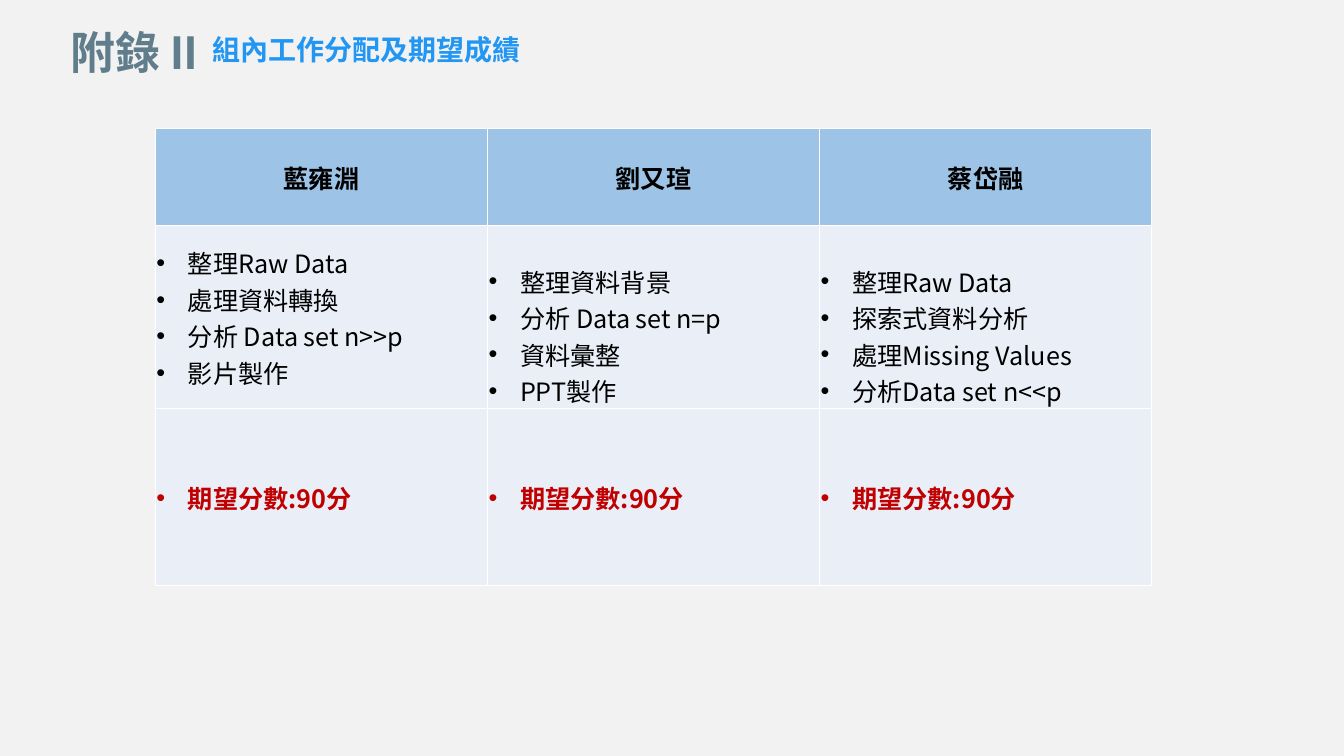
from pptx import Presentation
from pptx.dml.color import RGBColor
from pptx.enum.text import MSO_ANCHOR, MSO_AUTO_SIZE, PP_ALIGN
from pptx.oxml import parse_xml
from pptx.oxml.ns import nsdecls
from pptx.util import Pt


def color(code):
    return RGBColor.from_string(code)


class Deck:
    sans = "Noto Sans CJK SC"
    black = "000000"
    red = "C00000"
    slate = "607D8B"
    blue = "2196F3"
    head = "9DC3E6"
    pale = "EAEFF7"
    rule = "FFFFFF"

    def __init__(self):
        self.file = Presentation()
        self.file.slide_width = Pt(960)
        self.file.slide_height = Pt(540)
        self.slide = self.file.slides.add_slide(self.file.slide_layouts[6])
        back = self.slide.background.fill
        back.solid()
        back.fore_color.rgb = color("F2F2F2")

    def run(self, para, text, size, ink, bold=False, face=sans):
        run = para.add_run()
        run.text = text
        font = run.font
        font.size = Pt(size)
        font.bold = bold
        font.name = face
        font.color.rgb = color(ink)
        run._r.get_or_add_rPr().append(
            parse_xml(f'<a:ea {nsdecls("a")} typeface="{self.sans}"/>'))

    def label(self, left, top, width, height, runs, anchor=MSO_ANCHOR.TOP):
        box = self.slide.shapes.add_textbox(
            Pt(left), Pt(top), Pt(width), Pt(height))
        frame = box.text_frame
        frame.word_wrap = True
        frame.auto_size = MSO_AUTO_SIZE.SHAPE_TO_FIT_TEXT
        frame.vertical_anchor = anchor
        para = frame.paragraphs[0]
        para.alignment = PP_ALIGN.CENTER
        for text, size, ink, face in runs:
            self.run(para, text, size, ink, True, face)

    def bullet(self, para):
        props = para._p.get_or_add_pPr()
        props.set("marL", str(Pt(22.5)))
        props.set("indent", str(-Pt(22.5)))
        for tag in ('buFont {} typeface="Arial"', 'buChar {} char="•"'):
            props.append(parse_xml(f'<a:{tag.format(nsdecls("a"))}/>'))

    def cell(self, cell, lines, fill, ink, bold, listed=True,
             anchor=MSO_ANCHOR.MIDDLE):
        props = cell._tc.get_or_add_tcPr()
        for side in "LRTB":
            props.append(parse_xml(
                f'<a:ln{side} {nsdecls("a")} w="{Pt(1)}"><a:solidFill>'
                f'<a:srgbClr val="{self.rule}"/></a:solidFill></a:ln{side}>'))
        cell.fill.solid()
        cell.fill.fore_color.rgb = color(fill)
        cell.margin_left = cell.margin_right = cell.margin_top = Pt(0.75)
        cell.margin_bottom = Pt(0)
        cell.vertical_anchor = anchor
        frame = cell.text_frame
        for i, line in enumerate(lines):
            para = frame.add_paragraph() if i else frame.paragraphs[0]
            if listed:
                self.bullet(para)
            else:
                para.alignment = PP_ALIGN.CENTER
            self.run(para, line, 18, ink, bold)

    def table(self, left, top, width, rows, team):
        grid = self.slide.shapes.add_table(
            len(rows), len(team), Pt(left), Pt(top),
            Pt(width * len(team)), Pt(sum(rows))).table
        for row, height in zip(grid.rows, rows):
            row.height = Pt(height)
        for col, (name, tasks, anchor) in enumerate(team):
            grid.columns[col].width = Pt(width)
            self.cell(grid.cell(0, col), [name], self.head, self.black,
                      True, False)
            self.cell(grid.cell(1, col), tasks, self.pale, self.black,
                      False, anchor=anchor)
            self.cell(grid.cell(2, col), ["期望分數:90分"], self.pale,
                      self.red, True)


def main():
    deck = Deck()
    deck.label(-16.5, 10, 232.5, 51,
               [("附錄 ", 32, deck.slate, "Calibri"),
                ("II ", 36, deck.slate, "Calibri")], MSO_ANCHOR.MIDDLE)
    deck.label(129, 19.5, 265.5, 31.5,
               [("組內工作分配及期望成績", 20, deck.blue, deck.sans)])
    team = [
        ("藍雍淵", ["整理Raw Data", "處理資料轉換", "分析 Data set n>>p",
                 "影片製作"], MSO_ANCHOR.MIDDLE),
        ("劉又瑄", ["整理資料背景", "分析 Data set n=p", "資料彙整",
                 "PPT製作"], MSO_ANCHOR.BOTTOM),
        ("蔡岱融", ["整理Raw Data", "探索式資料分析", "處理Missing Values",
                 "分析Data set n<<p"], MSO_ANCHOR.BOTTOM),
    ]
    deck.table(111, 91.5, 237.25, [69.5, 131, 126.5], team)
    deck.file.save("out.pptx")


if __name__ == "__main__":
    main()
